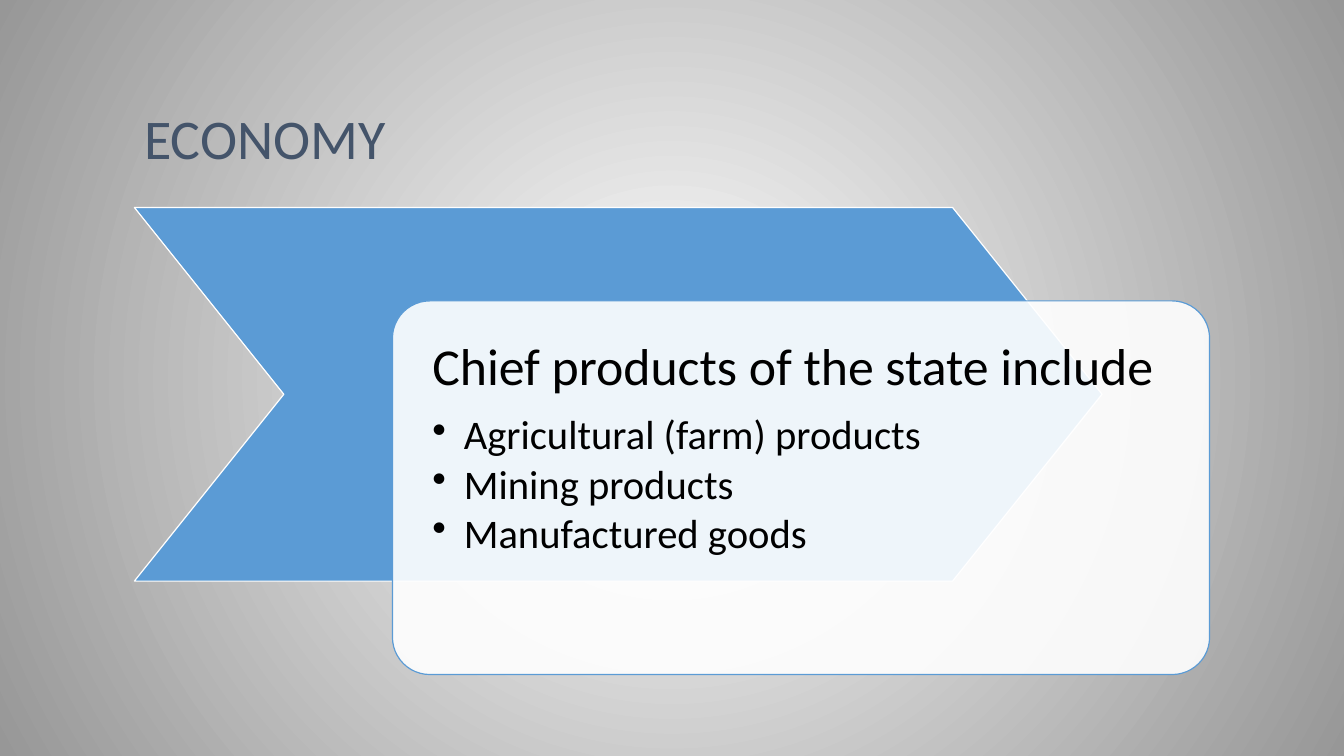
from collections import namedtuple

from lxml.etree import SubElement
from pptx import Presentation
from pptx.dml.color import RGBColor
from pptx.enum.shapes import MSO_SHAPE
from pptx.enum.text import MSO_ANCHOR, PP_ALIGN
from pptx.oxml.ns import qn
from pptx.util import Pt

Box = namedtuple("Box", "left top width height")

FONT = "Calibri"
BLUE, WHITE, BLACK, SLATE, GRAY = "5B9BD5", "FFFFFF", "000000", "44546A", "979797"
PRODUCTS = ["Agricultural (farm) products", "Mining products", "Manufactured goods"]


def color(hex_code):
    """Return the colour for a hex string."""
    return RGBColor.from_string(hex_code)


def points(box):
    """Return the four lengths of a box in points."""
    return [Pt(length) for length in box]


def paint_background(page):
    """Fill the page with a round gradient, light in the middle."""
    fill = page.background.fill
    fill.gradient()
    for stop, hex_code in zip(fill.gradient_stops, (WHITE, GRAY)):
        stop.color.rgb = color(hex_code)
    gradient = page.element.find(".//" + qn("a:gradFill"))
    gradient.remove(gradient.find(qn("a:lin")))
    circle = SubElement(gradient, qn("a:path"), path="circle")
    middle = dict.fromkeys("ltrb", "50000")
    SubElement(circle, qn("a:fillToRect"), middle)


def add_shape(shapes, kind, box, adjustment, fill, line, opacity=100):
    """Add a preset shape with a plain fill and a thin outline."""
    shape = shapes.add_shape(kind, *points(box))
    shape.shadow.inherit = False
    shape.adjustments[0] = adjustment
    shape.fill.solid()
    shape.fill.fore_color.rgb = color(fill)
    shape.line.color.rgb = color(line)
    shape.line.width = Pt(0.85)
    if opacity < 100:
        tone = shape.element.spPr.find(qn("a:solidFill"))[0]
        SubElement(tone, qn("a:alpha"), val=str(opacity * 1000))


def add_frame(shapes, box, anchor, inset=None):
    """Add a wrapping text box and return its text frame."""
    frame = shapes.add_textbox(*points(box)).text_frame
    frame.word_wrap = True
    frame.vertical_anchor = anchor
    if inset is not None:
        frame.margin_left = frame.margin_right = Pt(inset)
        frame.margin_top = frame.margin_bottom = Pt(inset)
    return frame


def write(para, text, size, hex_code=BLACK, after=0, bullet_indent=0):
    """Write one paragraph, with a hanging bullet if an indent is given."""
    if bullet_indent:
        para.level = 1
        properties = para._p.get_or_add_pPr()
        properties.set("marL", str(Pt(bullet_indent)))
        properties.set("indent", str(-Pt(bullet_indent)))
        SubElement(properties, qn("a:buChar"), char="•")
    para.alignment = PP_ALIGN.LEFT
    para.line_spacing = 0.9
    para.space_after = Pt(after)
    span = para.add_run()
    span.text = text
    span.font.name = FONT
    span.font.size = Pt(size)
    span.font.color.rgb = color(hex_code)


def add_title(page, box):
    """Write the slide title at the foot of its box."""
    frame = add_frame(page.shapes, box, MSO_ANCHOR.BOTTOM)
    write(frame.paragraphs[0], "ECONOMY", 40, SLATE)


def add_products(page, box):
    """Draw the chevron and the overlapping card that lists the products."""
    shapes = page.shapes.add_group_shape().shapes
    chevron = Box(box.left, box.top, 0.9 * box.width, 0.8 * box.height)
    card = Box(box.left + 0.24 * box.width, box.top + 0.2 * box.height,
               0.76 * box.width, 0.8 * box.height)
    gap = 7.8
    inner = Box(card.left + gap, card.top + gap,
                card.width - 2 * gap, card.height - 2 * gap)
    add_shape(shapes, MSO_SHAPE.CHEVRON, chevron, 0.4, BLUE, WHITE)
    add_shape(shapes, MSO_SHAPE.ROUNDED_RECTANGLE, card, 0.1, WHITE, BLUE, opacity=90)
    frame = add_frame(shapes, inner, MSO_ANCHOR.TOP, inset=20.7)
    write(frame.paragraphs[0], "Chief products of the state include", 37, after=13)
    for product in PRODUCTS:
        write(frame.add_paragraph(), product, 29, after=4, bullet_indent=22.5)


def main():
    """Build the slide and save it."""
    deck = Presentation()
    deck.slide_width, deck.slide_height = Pt(960), Pt(540)
    page = deck.slides.add_slide(deck.slide_layouts[6])
    paint_background(page)
    add_title(page, Box(96, 21.6, 768, 104.4))
    add_products(page, Box(96, 148.2, 768, 333.6))
    deck.save("out.pptx")


if __name__ == "__main__":
    main()
